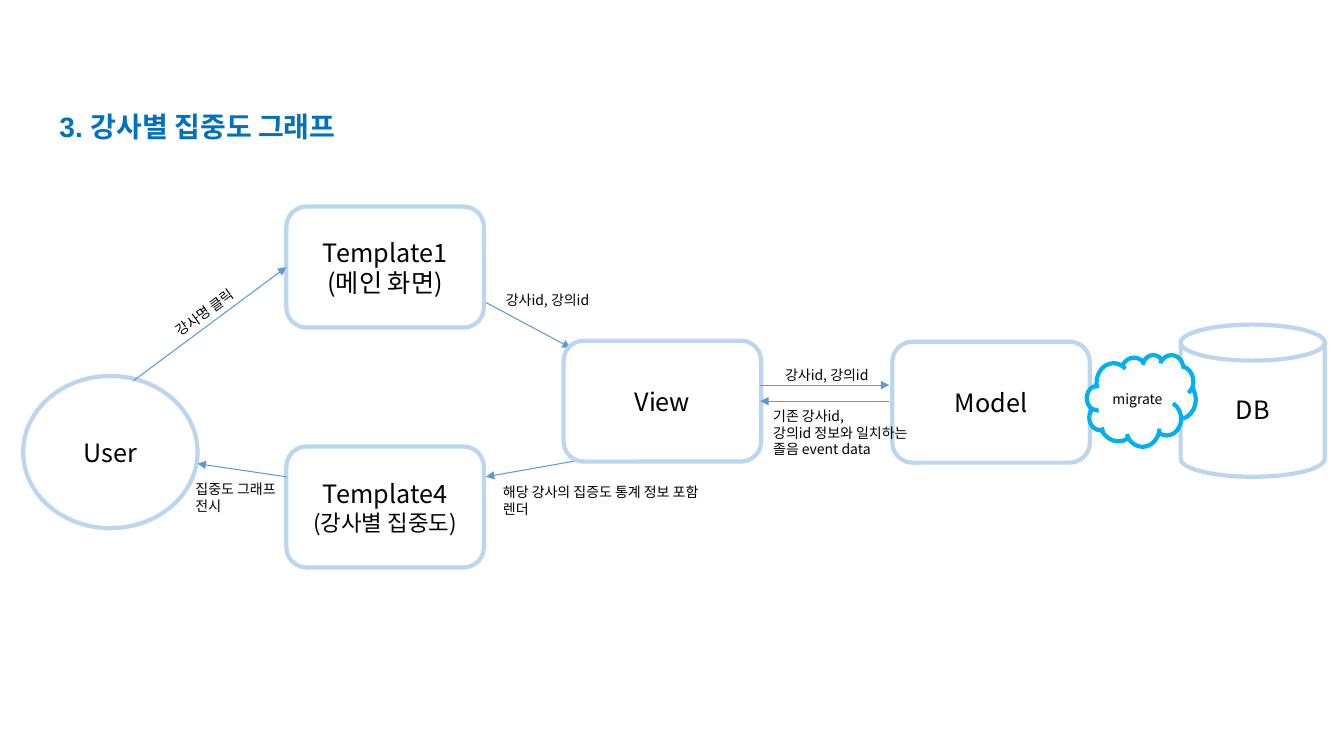
import pptx
import pptx.util
import pptx.dml.color
import pptx.enum.shapes
import pptx.enum.text
import lxml.etree

PX = 9144  # 100 px to the inch
KOREAN_FONT = "Noto Sans CJK KR"
PALE_BLUE, SKY_BLUE, ARROW_BLUE, TITLE_BLUE = "BBD6EE", "00B0F0", "5B9BD5", "0070C0"
SHAPE = pptx.enum.shapes.MSO_SHAPE
ALIGN = pptx.enum.text.PP_ALIGN
ANCHOR = pptx.enum.text.MSO_ANCHOR

TITLE = ("3. 강사별 집중도 그래프", (4, 71, 384, 101))

BOX_SIZE = (196, 120)
# preset, (left, top), (width, height), line colour, [(text, points)]
NODES = [
    (SHAPE.OVAL, (23, 373), (173, 151), PALE_BLUE, [("User", 18)]),
    (SHAPE.ROUNDED_RECTANGLE, (284, 205), BOX_SIZE, PALE_BLUE, [("Template1", 18), ("(메인 화면)", 18)]),
    (SHAPE.CAN, (1171, 322), (143, 151), PALE_BLUE, [("DB", 18)]),
    (SHAPE.ROUNDED_RECTANGLE, (559, 338), BOX_SIZE, PALE_BLUE, [("View", 18)]),
    (SHAPE.ROUNDED_RECTANGLE, (885, 339), BOX_SIZE, PALE_BLUE, [("Model", 18)]),
    (SHAPE.CLOUD, (1078, 352), (108, 91), SKY_BLUE, [("migrate", 10)]),
    (SHAPE.ROUNDED_RECTANGLE, (284, 443), BOX_SIZE, PALE_BLUE, [("Template4", 18), ("(강사별 집중도)", 16)]),
]

# start, end
ARROWS_BEHIND = [((478, 298), (566, 345)), ((578, 456), (482, 473))]
ARROWS_IN_FRONT = [
    ((132, 378), (284, 265)),
    ((754, 382), (882, 382)),
    ((882, 398), (754, 398)),
    ((284, 473), (196, 460)),
]

# lines, (left, top, width, height), alignment, rotation
LABELS = [
    (["강사명 클릭"], (159, 294, 95, 27), ALIGN.LEFT, 323.8),
    (["강사id, 강의id"], (489, 284, 108, 27), ALIGN.CENTER, 0),
    (["강사id, 강의id"], (766, 359, 108, 27), ALIGN.CENTER, 0),
    (["기존 강사id,", "강의id 정보와 일치하는", "졸음 event data"], (757, 399, 168, 61), ALIGN.LEFT, 0),
    (["해당 강사의 집증도 통계 정보 포함 렌더"], (489, 475, 215, 44), ALIGN.LEFT, 0),
    (["집중도 그래프 전시"], (184, 472, 118, 44), ALIGN.LEFT, 0),
]


def emu(lengths):
    return [pptx.util.Emu(length * PX) for length in lengths]


def rgb(hex_colour):
    return pptx.dml.color.RGBColor.from_string(hex_colour)


def write(frame, lines, align=ALIGN.CENTER, anchor=ANCHOR.TOP, colour="000000",
          font=KOREAN_FONT, bold=False, spacing=None):
    """Fill a text frame with one paragraph for each (text, points) pair."""
    frame.word_wrap = True
    frame.vertical_anchor = anchor
    for index, (text, points) in enumerate(lines):
        paragraph = frame.add_paragraph() if index else frame.paragraphs[0]
        paragraph.alignment = align
        if spacing:
            paragraph.line_spacing = spacing
        run = paragraph.add_run()
        run.text = text
        run.font.name = font
        run.font.size = pptx.util.Pt(points)
        run.font.bold = bold
        run.font.color.rgb = rgb(colour)
        east_asian = lxml.etree.SubElement(run.font._element, pptx.oxml.ns.qn("a:ea"))
        east_asian.set("typeface", KOREAN_FONT)


def add_node(slide, preset, place, size, line_colour, lines):
    node = slide.shapes.add_shape(preset, *emu(place + size))
    node.shadow.inherit = False
    node.fill.solid()
    node.fill.fore_color.rgb = rgb("FFFFFF")
    node.line.color.rgb = rgb(line_colour)
    node.line.width = pptx.util.Pt(3)
    write(node.text_frame, lines, anchor=ANCHOR.MIDDLE)


def add_arrow(slide, start, end):
    arrow = slide.shapes.add_connector(
        pptx.enum.shapes.MSO_CONNECTOR.STRAIGHT, *emu(start + end))
    arrow.line.color.rgb = rgb(ARROW_BLUE)
    arrow.line.width = pptx.util.Pt(0.75)
    head = lxml.etree.SubElement(arrow.line._get_or_add_ln(), pptx.oxml.ns.qn("a:tailEnd"))
    head.set("type", "triangle")
    lxml.etree.SubElement(arrow._element.spPr, pptx.oxml.ns.qn("a:effectLst"))


def add_label(slide, lines, box, align, rotation):
    label = slide.shapes.add_textbox(*emu(box))
    label.rotation = rotation
    write(label.text_frame, [(line, 10) for line in lines], align=align)
    label.text_frame.auto_size = pptx.enum.text.MSO_AUTO_SIZE.SHAPE_TO_FIT_TEXT


def add_title(slide, text, box):
    frame = slide.shapes.add_textbox(*emu(box)).text_frame
    frame.margin_top = frame.margin_bottom = pptx.util.Emu(10 * PX)
    write(frame, [(text, 20)], anchor=ANCHOR.MIDDLE, colour=TITLE_BLUE,
          font="Arial", bold=True, spacing=1.25)


def main():
    deck = pptx.Presentation()
    deck.slide_width, deck.slide_height = emu((1333, 750))
    slide = deck.slides.add_slide(deck.slide_layouts[6])
    for ends in ARROWS_BEHIND:
        add_arrow(slide, *ends)
    for node in NODES:
        add_node(slide, *node)
    for ends in ARROWS_IN_FRONT:
        add_arrow(slide, *ends)
    for label in LABELS:
        add_label(slide, *label)
    add_title(slide, *TITLE)
    deck.save("out.pptx")


if __name__ == "__main__":
    main()
